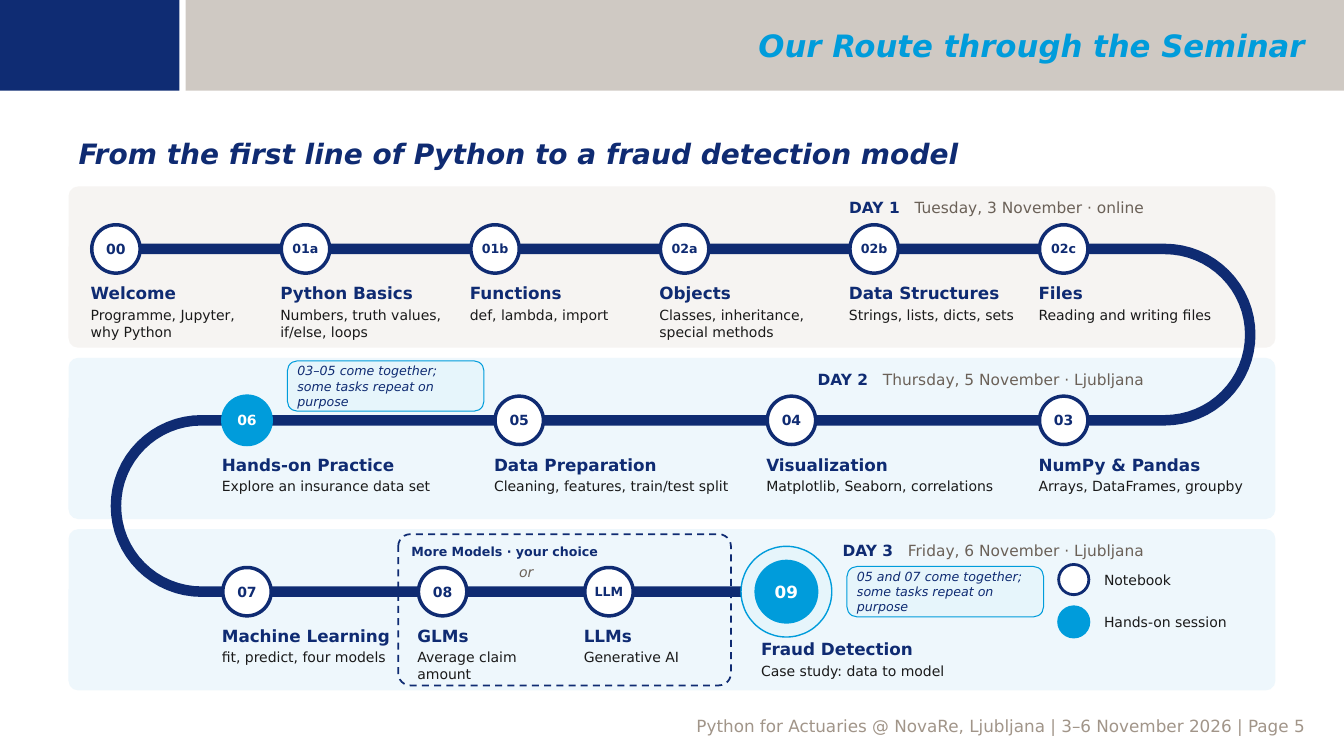
import math

import lxml.etree
import pptx
import pptx.dml.color
import pptx.enum.dml
import pptx.enum.shapes
import pptx.enum.text
import pptx.oxml.ns
import pptx.util

# Content
TITLE = "Our Route through the Seminar"
SUBTITLE = "From the first line of Python to a fraud detection model"
FOOTER = "Python for Actuaries @ NovaRe, Ljubljana | 3–6 November 2026 | Page 5"
DAYS = [
    ("DAY 1", "Tuesday, 3 November · online", "day_online"),
    ("DAY 2", "Thursday, 5 November · Ljubljana", "day_onsite"),
    ("DAY 3", "Friday, 6 November · Ljubljana", "day_onsite"),
]
# Stations by day: number, name, detail
STATIONS = [
    [
        ("00", "Welcome", "Programme, Jupyter, why Python"),
        ("01a", "Python Basics", "Numbers, truth values, if/else, loops"),
        ("01b", "Functions", "def, lambda, import"),
        ("02a", "Objects", "Classes, inheritance, special methods"),
        ("02b", "Data Structures", "Strings, lists, dicts, sets"),
        ("02c", "Files", "Reading and writing files"),
    ],
    [
        ("03", "NumPy & Pandas", "Arrays, DataFrames, groupby"),
        ("04", "Visualization", "Matplotlib, Seaborn, correlations"),
        ("05", "Data Preparation", "Cleaning, features, train/test split"),
        ("06", "Hands-on Practice", "Explore an insurance data set"),
    ],
    [
        ("07", "Machine Learning", "fit, predict, four models"),
        ("08", "GLMs", "Average claim amount"),
        ("LLM", "LLMs", "Generative AI"),
        ("09", "Fraud Detection", "Case study: data to model"),
    ],
]
HANDS_ON = {"06", "09"}
GOAL = "09"
CHOICE_TITLE, CHOICE_OR = "More Models · your choice", "or"
NOTES = [
    ("03–05 come together; some tasks repeat on purpose", 2.85, 3.58),
    ("05 and 07 come together; some tasks repeat on purpose", 8.4, 5.62),
]
LEGEND = [("Notebook", False), ("Hands-on session", True)]

THEME = {
    "font": "DejaVu Sans",
    "navy": "0F2B72", "corner": "0F2C73", "blue": "009CDB", "pale": "E6F5FB",
    "taupe": "A19589", "gray": "6B6158", "ink": "1A1A1A", "white": "FFFFFF",
    "day_online": "F6F4F2", "day_onsite": "EEF7FC",
    "title": 22, "subtitle": 20, "name": 12, "day": 11, "text": 10, "small": 9,
}

# Layout in inches
LEFT, WIDTH = 0.68, 11.97
BAND_TOP, BAND_H, PITCH = 1.85, 1.6, 1.7
TRACK_Y = [2.47 + PITCH * i for i in range(3)]
STATION_X = [
    [1.15 + 1.88 * i for i in range(6)],
    [10.55 - 2.7 * i for i in range(4)],
    [2.45, 4.39, 6.04, 7.8],
]
LABEL_W = [[1.75] * 6, [2.35] * 4, [2.35, 1.5, 1.4, 2.1]]
TURN_RIGHT, TURN_LEFT, RADIUS, ARC_STEPS = 11.55, 2, PITCH / 2, 32

Inches = pptx.util.Inches
SHAPE = pptx.enum.shapes.MSO_SHAPE
ALIGN = pptx.enum.text.PP_ALIGN
ANCHOR = pptx.enum.text.MSO_ANCHOR

prs = pptx.Presentation()
prs.slide_width, prs.slide_height = Inches(13.33), Inches(7.5)
s = prs.slides.add_slide(prs.slide_layouts[1])


def rgb(key):
    return pptx.dml.color.RGBColor.from_string(THEME[key])


def add_run(p, text, size, color, bold=False, italic=False):
    r = p.add_run()
    r.text = text
    look = {"name": THEME["font"], "size": pptx.util.Pt(THEME[size]),
            "bold": bold, "italic": italic}
    for key, value in look.items():
        setattr(r.font, key, value)
    r.font.color.rgb = rgb(color)
    return r


def set_frame(tf, insets=(0, 0, 0, 0), anchor=ANCHOR.MIDDLE, wrap=True):
    sides = ("margin_left", "margin_top", "margin_right", "margin_bottom")
    look = dict(zip(sides, map(Inches, insets)))
    look.update(vertical_anchor=anchor, word_wrap=wrap,
                auto_size=pptx.enum.text.MSO_AUTO_SIZE.NONE)
    for key, value in look.items():
        setattr(tf, key, value)
    return tf.paragraphs[0]


def add_text(x, y, w, h, align=ALIGN.LEFT, **frame):
    tf = s.shapes.add_textbox(*map(Inches, (x, y, w, h))).text_frame
    p = set_frame(tf, **frame)
    p.alignment = align
    return tf, p


def style(sp, fill=None, line=None, weight=1):
    sp.shadow.inherit = False
    if fill:
        sp.fill.solid()
        sp.fill.fore_color.rgb = rgb(fill)
    else:
        sp.fill.background()
    if line:
        sp.line.color.rgb = rgb(line)
        sp.line.width = pptx.util.Pt(weight)
    else:
        sp.line.fill.background()
    return sp


def add_shape(kind, x, y, w, h, corner=None, **look):
    sp = s.shapes.add_shape(kind, *map(Inches, (x, y, w, h)))
    if corner is not None:
        sp.adjustments[0] = corner
    return style(sp, **look)


def add_circle(x, y, radius, hands_on, weight):
    return add_shape(SHAPE.OVAL, x - radius, y - radius, 2 * radius, 2 * radius,
                     fill="blue" if hands_on else "white",
                     line="blue" if hands_on else "navy", weight=weight)


def add_station(x, y, width, number, name, detail):
    hands_on, goal = number in HANDS_ON, number == GOAL
    if goal:
        add_shape(SHAPE.OVAL, x - 0.45, y - 0.45, 0.9, 0.9, fill="pale", line="blue")
    sp = add_circle(x, y, 0.3 if goal else 0.24, hands_on, 2.5)
    p = set_frame(sp.text_frame, wrap=False)
    p.alignment = ALIGN.CENTER
    size = "name" if goal else "small" if len(number) > 2 else "text"
    add_run(p, number, size, "white" if hands_on else "navy", bold=True)
    tf, p = add_text(x - 0.25, y + (0.47 if goal else 0.34), width, 0.7, anchor=ANCHOR.TOP)
    add_run(p, name, "name", "navy", bold=True)
    p = tf.add_paragraph()
    p.space_before = pptx.util.Pt(2)
    add_run(p, detail, "text", "ink")


def half_turn(x, y, side):
    angles = [math.pi * i / ARC_STEPS for i in range(ARC_STEPS + 1)]
    return [(x + side * RADIUS * math.sin(a), y + RADIUS * (1 - math.cos(a))) for a in angles]


# Header
header = add_shape(SHAPE.RECTANGLE, 1.84, 0, 11.49, 0.9, fill="taupe")
color = header.fill._xPr.find(".//" + pptx.oxml.ns.qn("a:srgbClr"))
lxml.etree.SubElement(color, pptx.oxml.ns.qn("a:alpha"), val="50000")
add_shape(SHAPE.RECTANGLE, 0, 0, 1.78, 0.9, fill="corner")

# Title and subtitle, brought in front of the header
HEADINGS = [
    (s.shapes.title, TITLE, (2.02, 0.03, 11.02, 0.84), "title", "blue", ALIGN.RIGHT, ANCHOR.MIDDLE),
    (s.placeholders[1], SUBTITLE, (LEFT, 1.3, WIDTH, 0.4), "subtitle", "navy", ALIGN.LEFT, ANCHOR.TOP),
]
for sp, text, box, size, color, align, anchor in HEADINGS:
    s.shapes.element.append(sp.element)
    sp.left, sp.top, sp.width, sp.height = map(Inches, box)
    p = set_frame(sp.text_frame, (0.1, 0.05, 0.1, 0.05), anchor)
    pPr = p._p.get_or_add_pPr()
    pPr.set("marL", "0")
    pPr.set("indent", "0")
    lxml.etree.SubElement(pPr, pptx.oxml.ns.qn("a:buNone"))
    p.alignment, p.space_before = align, 0
    add_run(p, text, size, color, bold=True, italic=True)

# Day bands
for i, (day, date, fill) in enumerate(DAYS):
    top = BAND_TOP + PITCH * i
    add_shape(SHAPE.ROUNDED_RECTANGLE, LEFT, top, WIDTH, BAND_H, corner=0.06, fill=fill)
    tf, p = add_text(6.4, top + 0.08, 4.95, 0.26, ALIGN.RIGHT)
    add_run(p, day, "day", "navy", bold=True)
    gap = add_run(p, " ", "day", "gray")
    gap.font._element.set("spc", "700")
    add_run(p, date, "day", "gray")

# Winding track
track = [(STATION_X[0][0], TRACK_Y[0]), *half_turn(TURN_RIGHT, TRACK_Y[0], 1),
         *half_turn(TURN_LEFT, TRACK_Y[1], -1), (STATION_X[2][-1], TRACK_Y[2])]
points = [(Inches(x), Inches(y)) for x, y in track]
builder = s.shapes.build_freeform(*points[0])
builder.add_line_segments(points[1:], close=False)
style(builder.convert_to_shape(), line="navy", weight=7.5)

# Choice of models
choice = add_shape(SHAPE.ROUNDED_RECTANGLE, 3.95, 5.3, 3.3, 1.5, corner=0.08,
                   line="navy", weight=1.25)
choice.line.dash_style = pptx.enum.dml.MSO_LINE.DASH
tf, p = add_text(4.08, 5.36, 3.05, 0.22)
add_run(p, CHOICE_TITLE, "small", "navy", bold=True)
tf, p = add_text(4.97, 5.56, 0.5, 0.22, ALIGN.CENTER)
add_run(p, CHOICE_OR, "text", "gray", italic=True)

# Stations
for stations, xs, widths, y in zip(STATIONS, STATION_X, LABEL_W, TRACK_Y):
    for station, x, width in zip(stations, xs, widths):
        add_station(x, y, width, *station)

# Legend
for i, (text, hands_on) in enumerate(LEGEND):
    y = 5.75 + 0.42 * i
    add_circle(10.65, y, 0.15, hands_on, 2)
    tf, p = add_text(10.95, y - 0.15, 2, 0.3)
    add_run(p, text, "text", "ink")

# Notes
for text, x, y in NOTES:
    sp = add_shape(SHAPE.ROUNDED_RECTANGLE, x, y, 1.95, 0.5, corner=0.2,
                   fill="pale", line="blue", weight=0.75)
    p = set_frame(sp.text_frame, (0.07, 0.02, 0.07, 0.02))
    p.alignment = ALIGN.LEFT
    add_run(p, text, "small", "navy", italic=True)

# Footer
tf, p = add_text(0.76, 7.05, 12.19, 0.3, ALIGN.RIGHT, insets=(0, 0.05, 0, 0), anchor=ANCHOR.TOP)
add_run(p, FOOTER, "name", "taupe")

prs.save("out.pptx")
